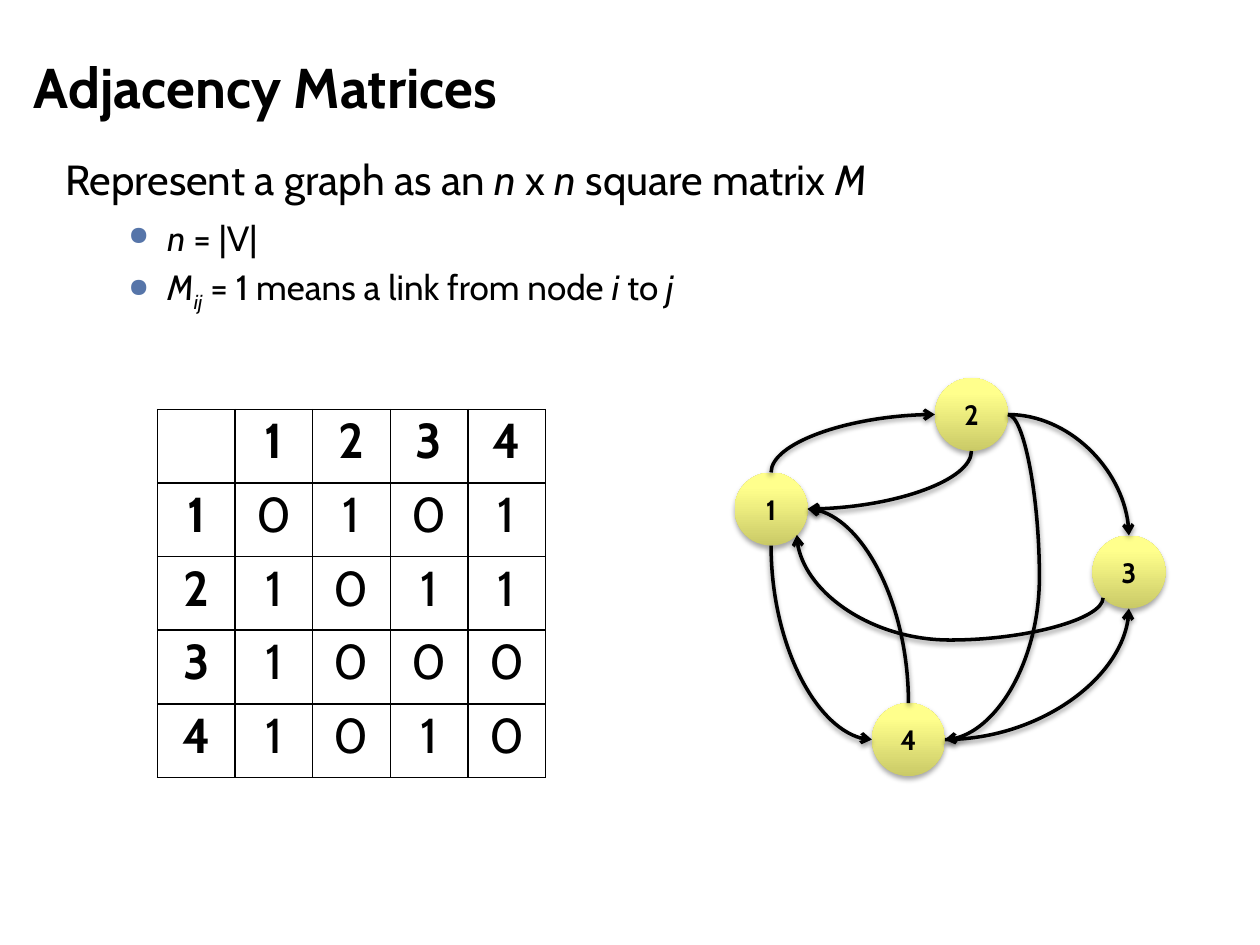
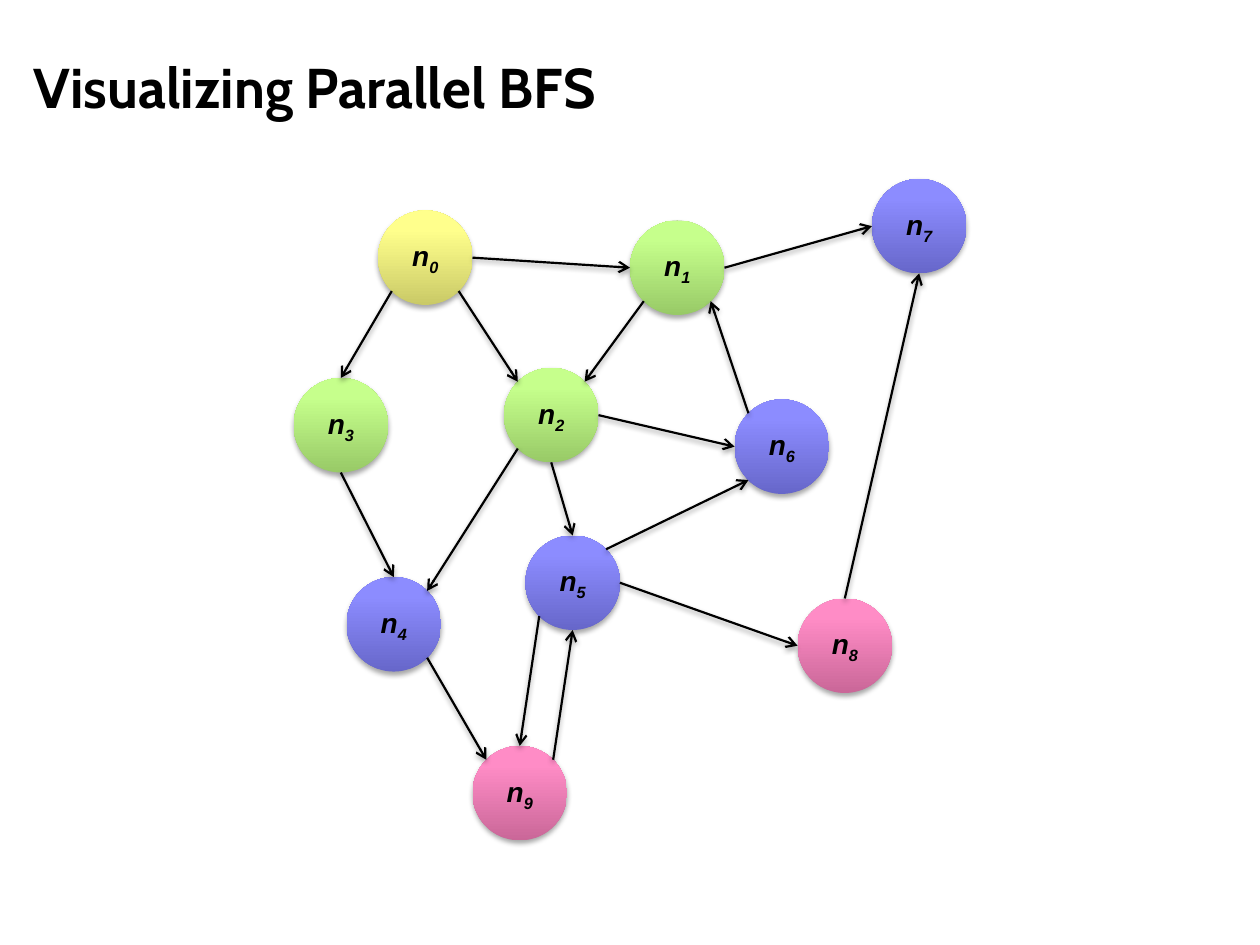
"""Build two slides on graphs: an adjacency matrix and a parallel BFS."""
from copy import deepcopy
from dataclasses import dataclass
from math import cos, radians, sin

from lxml.etree import SubElement
from pptx import Presentation
from pptx.dml.color import RGBColor
from pptx.enum.shapes import MSO_CONNECTOR, MSO_SHAPE
from pptx.enum.text import MSO_ANCHOR, PP_ALIGN
from pptx.oxml.ns import qn
from pptx.util import Emu, Inches, Pt


@dataclass(frozen=True)
class Theme:
    """Colours, fonts and type sizes shared by the slides."""
    ink: str = "000000"
    paper: str = "FFFFFF"
    bullet: str = "5675A9"
    yellow: tuple = ("CACA67", "FFFF8C", "FFFF8E")
    green: tuple = ("98CA67", "C6FF8C", "C7FF8E")
    blue: tuple = ("6767CA", "8C8CFF", "8E8EFF")
    pink: tuple = ("CA6798", "FF8CC6", "FF8EC7")
    text_font: str = "Cabin"
    label_font: str = "Arial"
    title_size: int = 32
    lead_size: int = 24
    point_size: int = 20
    matrix_size: int = 28
    node_size: int = 16


THEME = Theme()

MATRIX_TITLE = "Adjacency Matrices"
LEAD = [("Represent a graph as an ", ""), ("n", "i"), (" x ", ""), ("n", "i"),
        (" square matrix ", ""), ("M", "i")]
POINTS = [
    [("n", "i"), (" = |V|", "")],
    [("M", "i"), ("ij", "i sub"), (" = 1 means a link from node ", ""),
     ("i", "i"), (" to ", ""), ("j", "i")],
]
MATRIX = [
    ["", "1", "2", "3", "4"],
    ["1", "0", "1", "0", "1"],
    ["2", "1", "0", "1", "1"],
    ["3", "1", "0", "0", "0"],
    ["4", "1", "0", "1", "0"],
]
GRAPH_NODES = {1: (5.83, 3.75), 2: (7.42, 3), 3: (8.67, 4.25), 4: (6.92, 5.58)}
GRAPH_LINKS = [
    (1, "T", 2, "L", 90, None),
    (1, "B", 4, "L", 270, None),
    (2, "B", 1, "R", 90, None),
    (2, "R", 3, "T", 0, None),
    (2, "R", 4, "R", 0, -0.5),
    (3, "BL", 1, "BR", 90, -0.67),
    (4, "T", 1, "R", 270, None),
    (4, "R", 3, "B", 0, None),
]

BFS_TITLE = "Visualizing Parallel BFS"
BFS_NODES = {
    0: (3, 1.67, THEME.yellow),
    3: (2.33, 3, THEME.green),
    2: (4, 2.92, THEME.green),
    1: (5, 1.75, THEME.green),
    7: (6.92, 1.42, THEME.blue),
    6: (5.83, 3.17, THEME.blue),
    5: (4.17, 4.25, THEME.blue),
    4: (2.75, 4.58, THEME.blue),
    9: (3.75, 5.92, THEME.pink),
    8: (6.33, 4.75, THEME.pink),
}
BFS_LINKS = [
    (0, "BL", 3, "T"), (0, "BR", 2, "TL"), (0, "R", 1, "L"), (1, "R", 7, "L"),
    (8, "T", 7, "B"), (6, "TL", 1, "BR"), (1, "BL", 2, "TR"), (2, "R", 6, "L"),
    (3, "B", 4, "T"), (2, "BL", 4, "TR"), (2, "B", 5, "T"), (5, "TR", 6, "BL"),
    (4, "BR", 9, "TL"), (5, "BL", 9, "T"), (9, "TR", 5, "B"), (5, "R", 8, "L"),
]

SITES = ["T", "TL", "L", "BL", "B", "BR", "R", "TR"]


def style(font, size, bold=False, italic=None, face=THEME.text_font):
    font.name, font.size, font.bold, font.italic = face, Pt(size), bold, italic
    font.color.rgb = RGBColor.from_string(THEME.ink)


def add_runs(paragraph, runs):
    for text, marks in runs:
        run = paragraph.add_run()
        run.text = text
        if "i" in marks.split():
            run.font.italic = True
        if "sub" in marks:
            run._r.get_or_add_rPr().set("baseline", "-25000")


def add_bullet(paragraph):
    properties = paragraph._p.get_or_add_pPr()
    properties.set("marL", str(Inches(0.81)))
    properties.set("indent", str(Inches(-0.31)))
    colour = SubElement(properties, qn("a:buClr"))
    SubElement(colour, qn("a:srgbClr"), val=THEME.bullet)
    SubElement(properties, qn("a:buSzPct"), val="75000")
    SubElement(properties, qn("a:buChar"), char="●")


def add_shadow(shape, opacity, distance):
    effects = SubElement(shape.element.spPr, qn("a:effectLst"))
    shadow = SubElement(effects, qn("a:outerShdw"), blurRad=str(Pt(3.1)),
                        dist=str(Pt(distance)), dir="5400000", rotWithShape="0")
    colour = SubElement(shadow, qn("a:srgbClr"), val=THEME.ink)
    SubElement(colour, qn("a:alpha"), val=str(opacity * 1000))


def add_frame(slide, left, top, width, height):
    box = slide.shapes.add_textbox(Inches(left), Inches(top), Inches(width), Inches(height))
    box.text_frame.word_wrap = True
    return box.text_frame


def add_titled_slide(deck, title):
    slide = deck.slides.add_slide(deck.slide_layouts[6])
    slide.background.fill.solid()
    slide.background.fill.fore_color.rgb = RGBColor.from_string(THEME.paper)
    frame = add_frame(slide, 0.17, 0.12, 9.5, 1.12)
    frame.vertical_anchor = MSO_ANCHOR.MIDDLE
    frame.text = title
    style(frame.paragraphs[0].font, THEME.title_size, bold=True)
    return slide


def add_node(slide, left, top, diameter, shades, label, **label_style):
    node = slide.shapes.add_shape(MSO_SHAPE.OVAL, Inches(left), Inches(top),
                                  Inches(diameter), Inches(diameter))
    node.fill.gradient()
    node.fill.gradient_angle = 90
    stops = node.element.spPr.find(".//" + qn("a:gsLst"))
    stops.append(deepcopy(stops[-1]))
    for stop, position, shade in zip(node.fill.gradient_stops, (0, 0.8, 1), shades):
        stop.position = position
        stop.color.rgb = RGBColor.from_string(shade)
    node.line.fill.background()
    add_shadow(node, 35, 1.8)
    frame = node.text_frame
    frame.margin_left = frame.margin_right = frame.margin_top = frame.margin_bottom = 0
    frame.vertical_anchor = MSO_ANCHOR.MIDDLE
    frame.word_wrap = False
    paragraph = frame.paragraphs[0]
    paragraph.alignment = PP_ALIGN.CENTER
    style(paragraph.font, THEME.node_size, bold=True, **label_style)
    add_runs(paragraph, label)
    return node


def site_point(node, site):
    angle = radians(90 + 45 * SITES.index(site))
    radius = node.width / 2
    return (round(node.left + radius + radius * cos(angle)),
            round(node.top + radius - radius * sin(angle)))


def finish_link(link, weight, ends):
    link.line.color.rgb = RGBColor.from_string(THEME.ink)
    link.line.width = Pt(weight)
    SubElement(link.line._get_or_add_ln(), qn("a:tailEnd"), type="arrow")
    add_shadow(link, 38, 1.6)
    glue = link.element.find(".//" + qn("p:cNvCxnSpPr"))
    for tag, (node, site) in zip(("a:stCxn", "a:endCxn"), ends):
        SubElement(glue, qn(tag), id=str(node.shape_id), idx=str(SITES.index(site)))


def add_straight_link(slide, *ends):
    start, end = (site_point(*place) for place in ends)
    link = slide.shapes.add_connector(MSO_CONNECTOR.STRAIGHT, *start, *end)
    finish_link(link, 1.25, ends)


def add_curved_link(slide, turn, bend, *ends):
    (x1, y1), (x2, y2) = (site_point(*place) for place in ends)
    dx, dy = x2 - x1, y2 - y1
    run, rise = {0: (dx, dy), 90: (dy, -dx), 270: (-dy, dx)}[turn]
    width, height = abs(run), abs(rise)
    left, top = Emu((x1 + x2 - width) // 2), Emu((y1 + y2 - height) // 2)
    link = slide.shapes.add_connector(MSO_CONNECTOR.CURVE, left, top,
                                      left + width, top + height)
    frame = link.element.spPr.find(qn("a:xfrm"))
    if turn:
        frame.set("rot", str(turn * 60000))
    for flip, extent in (("flipH", run), ("flipV", rise)):
        if extent < 0:
            frame.set(flip, "1")
    curve = link.element.spPr.find(qn("a:prstGeom"))
    if bend is None:
        curve.set("prst", "curvedConnector2")
    else:
        SubElement(curve.find(qn("a:avLst")), qn("a:gd"), name="adj1",
                   fmla=f"val {round(bend * 100000)}")
    finish_link(link, 2, ends)


def add_matrix(slide):
    size = len(MATRIX)
    table = slide.shapes.add_table(size, size, Inches(1.25), Inches(3.25),
                                   Inches(3.08), Inches(2.92)).table
    for row, values in enumerate(MATRIX):
        for column, value in enumerate(values):
            cell = table.cell(row, column)
            cell.vertical_anchor = MSO_ANCHOR.MIDDLE
            for side in ("a:lnL", "a:lnR", "a:lnT", "a:lnB"):
                border = SubElement(cell._tc.get_or_add_tcPr(), qn(side), w=str(Pt(1)))
                paint = SubElement(border, qn("a:solidFill"))
                SubElement(paint, qn("a:srgbClr"), val=THEME.ink)
            cell.fill.background()
            cell.text = value
            paragraph = cell.text_frame.paragraphs[0]
            paragraph.alignment = PP_ALIGN.CENTER
            paragraph.line_spacing = 0.71
            paragraph.space_before = Pt(8)
            style(paragraph.font, THEME.matrix_size, bold=row == 0 or column == 0)


def build_matrix_slide(deck):
    slide = add_titled_slide(deck, MATRIX_TITLE)
    frame = add_frame(slide, 0.42, 1.17, 9.25, 5.58)
    lead = frame.paragraphs[0]
    lead.space_after = Pt(5)
    style(lead.font, THEME.lead_size)
    add_runs(lead, LEAD)
    for runs in POINTS:
        point = frame.add_paragraph()
        point.level = 1
        add_bullet(point)
        point.space_before = point.space_after = Pt(2)
        style(point.font, THEME.point_size)
        add_runs(point, runs)
    add_matrix(slide)
    nodes = {number: add_node(slide, *corner, 0.58, THEME.yellow, [(str(number), "")])
             for number, corner in GRAPH_NODES.items()}
    for start, exit_site, end, entry_site, turn, bend in GRAPH_LINKS:
        add_curved_link(slide, turn, bend,
                        (nodes[start], exit_site), (nodes[end], entry_site))


def build_bfs_slide(deck):
    slide = add_titled_slide(deck, BFS_TITLE)
    nodes = {number: add_node(slide, left, top, 0.75, shades,
                              [("n", "i"), (str(number), "i sub")],
                              italic=True, face=THEME.label_font)
             for number, (left, top, shades) in BFS_NODES.items()}
    for start, exit_site, end, entry_site in BFS_LINKS:
        add_straight_link(slide, (nodes[start], exit_site), (nodes[end], entry_site))


def main():
    deck = Presentation()
    deck.slide_width, deck.slide_height = Inches(10), Inches(7.5)
    build_matrix_slide(deck)
    build_bfs_slide(deck)
    deck.save("out.pptx")


if __name__ == "__main__":
    main()
